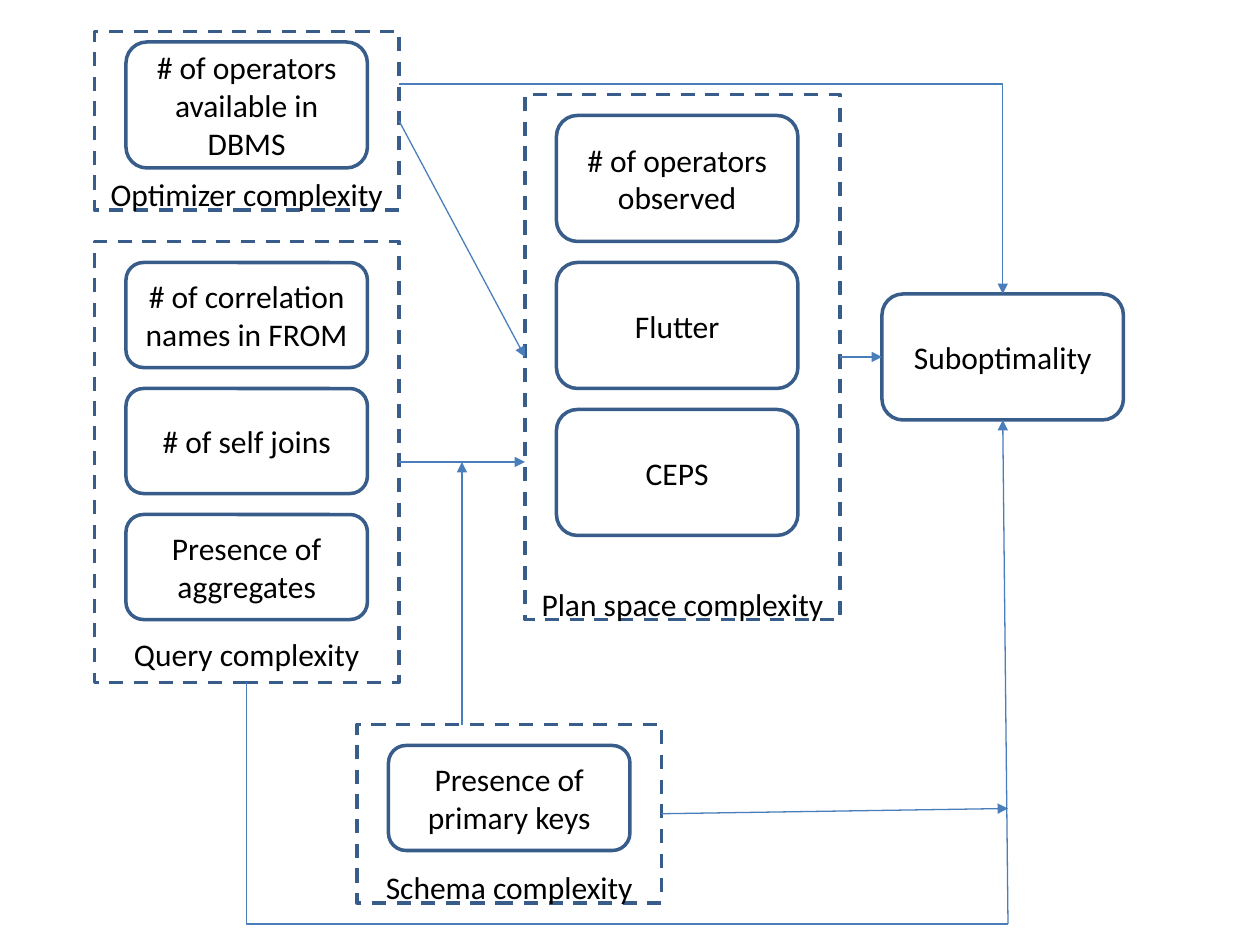
from lxml import etree
from pptx import Presentation
from pptx import util as u
from pptx.dml.color import RGBColor
from pptx.enum import dml, shapes, text
from pptx.oxml.ns import qn

PX = 9525
COLORS = {"outline": "385D8A", "arrow": "4A7EBB", "text": "000000"}
TOP, LEFT, BOTTOM, RIGHT = range(4)
ITEM_W, ITEM_X, ITEM_GAP = 184, 24, 16


def px(*values):
    return [u.Emu(v * PX) for v in values]


def color(name):
    return RGBColor.from_string(COLORS[name])


def write(sp, words, size=18, font="Calibri", fill="text", anchor=text.MSO_ANCHOR.MIDDLE):
    tf = sp.text_frame
    tf.word_wrap = True
    tf.vertical_anchor = anchor
    p = tf.paragraphs[0]
    p.alignment = text.PP_ALIGN.CENTER
    r = p.add_run()
    r.text = words
    r.font.size = u.Pt(size)
    r.font.name = font
    r.font.color.rgb = color(fill)
    return tf


def add_outline(s, kind, box):
    sp = s.shapes.add_shape(kind, *px(*box))
    sp.shadow.inherit = False
    sp.fill.background()
    sp.line.color.rgb = color("outline")
    sp.line.width = u.Pt(2)
    return sp


def add_item(s, box, words):
    sp = add_outline(s, shapes.MSO_SHAPE.ROUNDED_RECTANGLE, box)
    write(sp, words)
    return sp


def add_group(s, box, title, title_y, items, item_y, item_h):
    x, y, w, h = box
    for i, words in enumerate(items):
        top = y + item_y + i * (item_h + ITEM_GAP)
        add_item(s, (x + ITEM_X, top, ITEM_W, item_h), words)
    sp = add_outline(s, shapes.MSO_SHAPE.RECTANGLE, box)
    sp.line.dash_style = dml.MSO_LINE.DASH
    tf = write(sp, title, anchor=text.MSO_ANCHOR.TOP)
    tf.margin_top, tf.margin_bottom = px(title_y, 0)
    return sp


def add_link(s, start, end, begin=None, finish=None, bent=False, arrow=True):
    kind = shapes.MSO_CONNECTOR.ELBOW if bent else shapes.MSO_CONNECTOR.STRAIGHT
    c = s.shapes.add_connector(kind, *px(*start, *end))
    c.line.color.rgb = color("arrow")
    c.line.width = u.Pt(0.75)
    if begin:
        c.begin_connect(*begin)
    if finish:
        c.end_connect(*finish)
    sp_pr = c._element.spPr
    if bent:
        sp_pr.find(qn("a:prstGeom")).set("prst", "bentConnector2")
    if arrow:
        etree.SubElement(sp_pr.find(qn("a:ln")), qn("a:tailEnd"), type="triangle")
    etree.SubElement(sp_pr, qn("a:effectLst"))


def add_links(s, optimizer, query, schema, plan, suboptimality):
    add_link(s, (304, 352), (400, 352), begin=(query, RIGHT))
    add_link(s, (304, 92), (400, 272), begin=(optimizer, RIGHT), finish=(plan, LEFT))
    add_link(s, (352, 552), (352, 352))
    add_link(s, (304, 64), (764, 224), bent=True)
    add_link(s, (640, 272), (672, 272), begin=(plan, RIGHT), finish=(suboptimality, LEFT))
    add_link(s, (768, 704), (188, 520), bent=True, arrow=False)
    add_link(s, (768, 704), (764, 320), finish=(suboptimality, BOTTOM))
    add_link(s, (504, 620), (768, 616), begin=(schema, RIGHT))


def main():
    prs = Presentation()
    prs.slide_width, prs.slide_height = px(960, 720)
    s = prs.slides.add_slide(prs.slide_layouts[6])
    optimizer = add_group(s, (72, 24, 232, 136), "Optimizer complexity", 109,
                          ["# of operators available in DBMS"], 8, 96)
    query = add_group(s, (72, 184, 232, 336), "Query complexity", 300,
                      ["# of correlation names in FROM", "# of self joins",
                       "Presence of aggregates"], 16, 80)
    schema = add_group(s, (272, 552, 232, 136), "Schema complexity", 109,
                       ["Presence of primary keys"], 16, 80)
    plan = add_group(s, (400, 72, 240, 400), "Plan space complexity", 374,
                     ["# of operators observed", "Flutter", "CEPS"], 16, 96)
    suboptimality = add_item(s, (672, 224, ITEM_W, 96), "Suboptimality")
    add_links(s, optimizer, query, schema, plan, suboptimality)
    prs.save("out.pptx")


if __name__ == "__main__":
    main()
